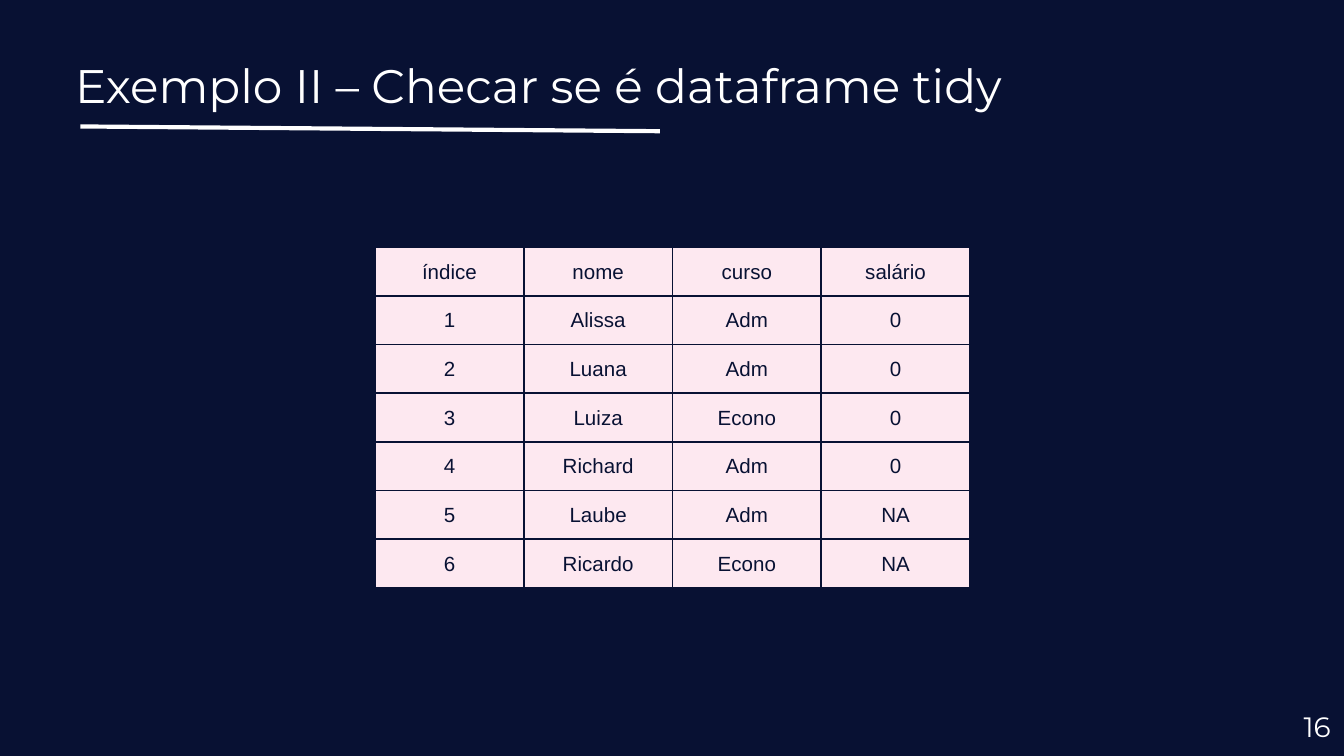
import pptx
import pptx.dml.color
import pptx.enum.shapes
import pptx.enum.text
import pptx.oxml
import pptx.oxml.ns
import pptx.util

Cm, Pt = pptx.util.Cm, pptx.util.Pt
ALIGN = pptx.enum.text.PP_ALIGN
ANCHOR = pptx.enum.text.MSO_ANCHOR

TITLE = "Exemplo II – Checar se é dataframe tidy"
NUMBER = "16"
ROWS = [
    ("índice", "nome", "curso", "salário"),
    ("1", "Alissa", "Adm", "0"),
    ("2", "Luana", "Adm", "0"),
    ("3", "Luiza", "Econo", "0"),
    ("4", "Richard", "Adm", "0"),
    ("5", "Laube", "Adm", "NA"),
    ("6", "Ricardo", "Econo", "NA"),
]

NAVY, WHITE, PINK = "081133", "FFFFFF", "FDE8F0"
HEAD = {"name": "Montserrat", "size": Pt(25.2), "bold": False}
PAGE = {"name": "Montserrat", "size": Pt(15)}
BODY = {"name": "Arial", "size": Pt(11), "bold": False}
COL, ROW = 2.81, 0.92


def paint(target, color):
    """Give a fill or line format a solid colour."""
    fill = getattr(target, "fill", target)
    fill.solid()
    fill.fore_color.rgb = pptx.dml.color.RGBColor.from_string(color)


def write(frame, text, look, color, align):
    frame.text = text
    par = frame.paragraphs[0]
    par.alignment = align
    font = par.runs[0].font
    for key, value in look.items():
        setattr(font, key, value)
    paint(font, color)


def place(shape, left, top, width, height):
    shape.left, shape.top = Cm(left), Cm(top)
    shape.width, shape.height = Cm(width), Cm(height)


def pad(frame, anchor):
    """Set even insets, wrapping and the vertical anchor."""
    for side in ("left", "top", "right", "bottom"):
        setattr(frame, "margin_" + side, Cm(0.25))
    frame.word_wrap = True
    frame.auto_size = pptx.enum.text.MSO_AUTO_SIZE.NONE
    frame.vertical_anchor = anchor


def edge(cell, color):
    """Draw a 1 pt border on all four sides of a cell."""
    props = cell._tc.get_or_add_tcPr()
    for spot, side in enumerate(("lnL", "lnR", "lnT", "lnB")):
        props.insert(spot, pptx.oxml.parse_xml(
            f'<a:{side} {pptx.oxml.ns.nsdecls("a")} w="12700"><a:solidFill>'
            f'<a:srgbClr val="{color}"/></a:solidFill></a:{side}>'))


def main():
    deck = pptx.Presentation()
    deck.slide_width, deck.slide_height = Cm(25.4), Cm(14.29)
    slide = deck.slides.add_slide(deck.slide_layouts[5])
    paint(slide.background, NAVY)
    shapes = slide.shapes

    rule = shapes.add_connector(pptx.enum.shapes.MSO_CONNECTOR.STRAIGHT,
                                Cm(1.52), Cm(2.39), Cm(12.47), Cm(2.48))
    rule.line.width = Pt(2.25)
    paint(rule.line, WHITE)
    rule._element.spPr.append(pptx.oxml.parse_xml(
        f'<a:effectLst {pptx.oxml.ns.nsdecls("a")}/>'))

    title = shapes.title
    place(title, 1.17, 0.81, 23.67, 1.6)
    pad(title.text_frame, ANCHOR.TOP)
    write(title.text_frame, TITLE, HEAD, WHITE, ALIGN.LEFT)

    page = shapes.add_textbox(Cm(23.88), Cm(13.18), Cm(1.52), Cm(1.09))
    pad(page.text_frame, ANCHOR.MIDDLE)
    write(page.text_frame, NUMBER, PAGE, WHITE, ALIGN.RIGHT)

    count, wide = len(ROWS), len(ROWS[0])
    table = shapes.add_table(count, wide, Cm(7.09), Cm(4.67),
                             Cm(COL * wide), Cm(ROW * count)).table
    for col in table.columns:
        col.width = Cm(COL)
    for line, texts in zip(table.rows, ROWS):
        line.height = Cm(ROW)
        for cell, text in zip(line.cells, texts):
            cell.margin_left = cell.margin_right = cell.margin_top = Cm(0.02)
            cell.margin_bottom = 0
            cell.vertical_anchor = ANCHOR.MIDDLE
            paint(cell, PINK)
            edge(cell, NAVY)
            write(cell.text_frame, text, BODY, NAVY, ALIGN.CENTER)

    deck.save("out.pptx")


if __name__ == "__main__":
    main()
